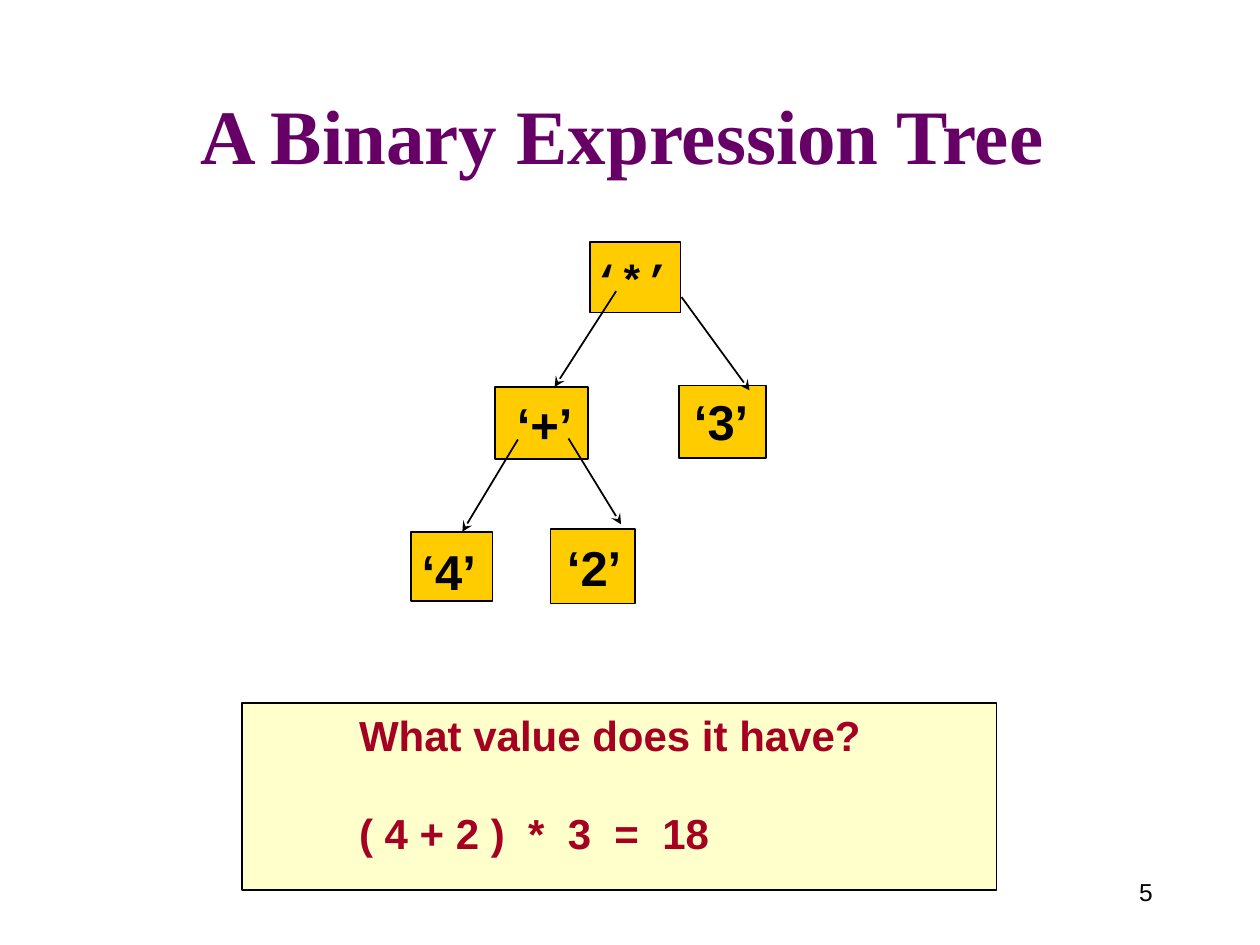
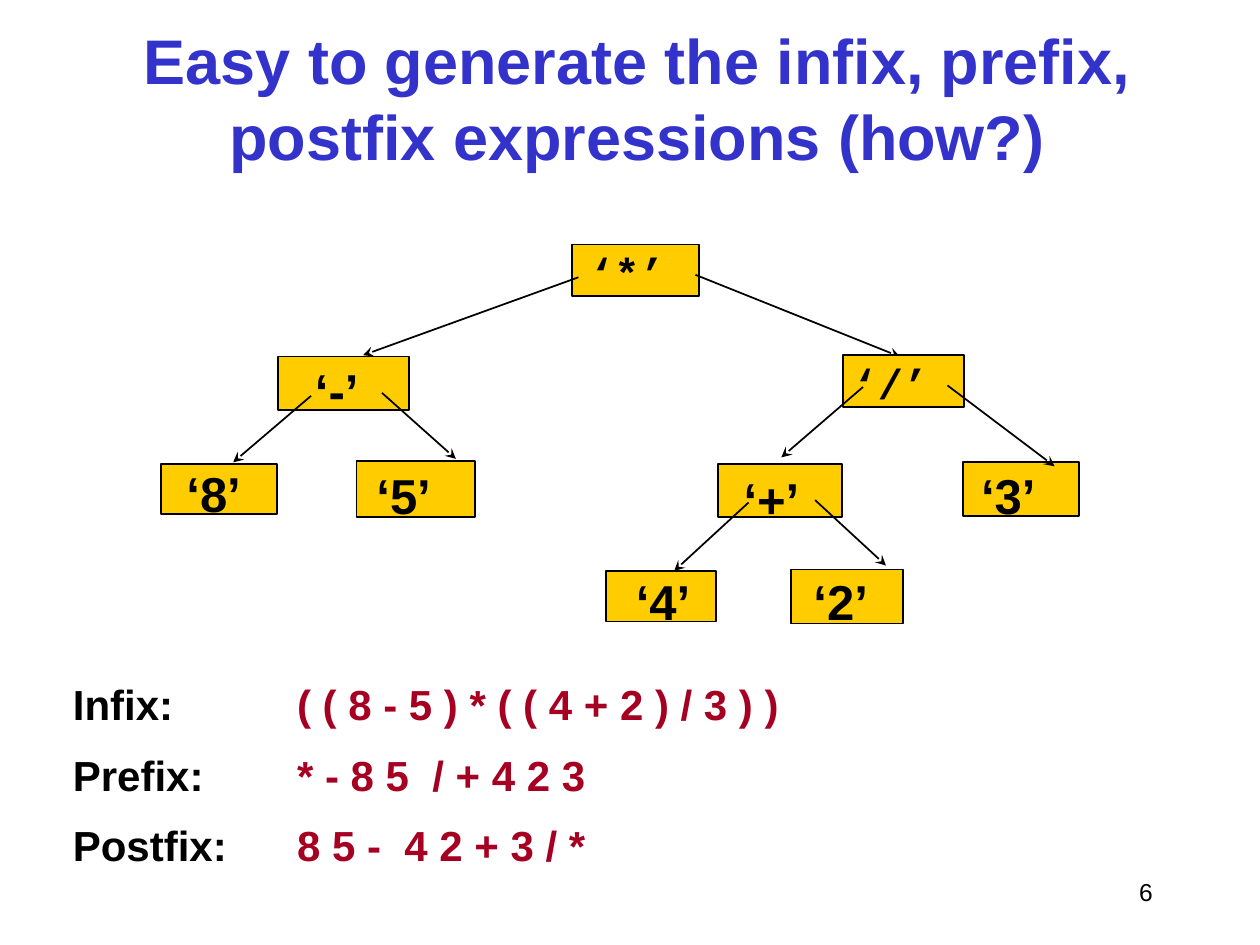
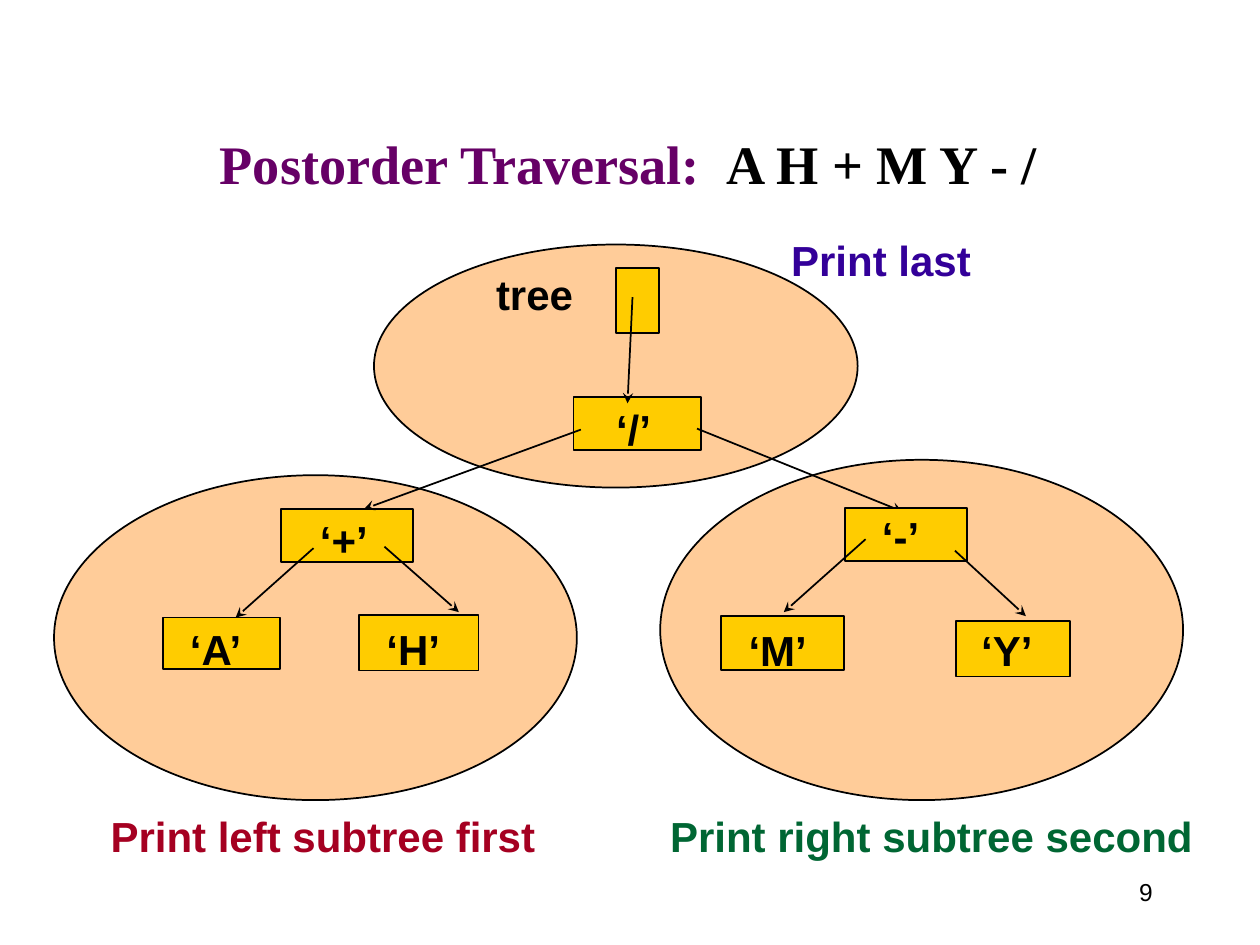
from dataclasses import dataclass

from lxml.etree import SubElement
from pptx import Presentation
from pptx.dml.color import RGBColor
from pptx.enum.shapes import MSO_CONNECTOR, MSO_SHAPE
from pptx.enum.text import MSO_ANCHOR, MSO_AUTO_SIZE, PP_ALIGN
from pptx.oxml.ns import qn
from pptx.util import Cm, Pt


@dataclass(frozen=True)
class Theme:
    black: str = "000000"
    purple: str = "660066"
    blue: str = "3333CC"
    indigo: str = "330099"
    red: str = "A50021"
    green: str = "006633"
    node: str = "FFCC00"
    note: str = "FFFFCC"
    region: str = "FFCC99"
    sans: str = "Arial"
    serif: str = "Times New Roman"
    mono: str = "Courier New"
    body: int = 24
    number: int = 14


T = Theme()

# Label styles: font, size, label width in cm
MONO = (T.mono, T.body, 2.05)
LARGE = (T.sans, 28, 1.7)
SMALL = (T.sans, T.body, 1.7)
NAME = (T.sans, T.body, 2.1)

# Content, all lengths in cm.
# Title: box, font, size, runs of (text, colour)
# Tree: nodes of (label, box, label left and top, style), edges from parent to child
EXPRESSION = {
    "number": 5,
    "title": ((1.65, 0.58, 21.79, 3.18), T.serif, 44,
              [("A Binary Expression Tree", T.purple)]),
    "trees": [(
        [("‘*’", (11.89, 4.88, 1.83, 1.42), (11.73, 4.98), MONO),
         ("‘+’", (9.98, 7.8, 1.88, 1.45), (10.17, 7.82), LARGE),
         ("‘3’", (13.69, 7.77, 1.75, 1.47), (13.74, 7.77), LARGE),
         ("‘4’", (8.28, 10.72, 1.65, 1.4), (8.25, 10.8), LARGE),
         ("‘2’", (11.1, 10.67, 1.7, 1.5), (11.18, 10.72), LARGE)],
        [(13.74, 5.99, 15.11, 7.87), (11.46, 8.84, 12.52, 10.57),
         (10.44, 8.86, 9.32, 10.72), (12.42, 5.87, 11.18, 7.8)],
    )],
}
NOTE_BOX = (4.88, 14.17, 15.21, 3.78)
NOTE_LINES = ["What value does it have?", "( 4 + 2 )  *  3  =  18"]

NOTATIONS = {
    "number": 6,
    "title": ((1.02, 0.43, 23.65, 3.18), T.sans, 36,
              [("Easy to generate the infix, prefix, postfix expressions (how?)", T.blue)]),
    "trees": [(
        [("‘*’", (11.53, 4.93, 2.57, 1.04), (11.63, 4.85), MONO),
         ("‘-’", (5.61, 7.19, 2.64, 1.07), (6.1, 7.14), LARGE),
         ("‘8’", (3.25, 9.35, 2.34, 1.02), (3.51, 9.22), LARGE),
         ("‘5’", (7.19, 9.3, 2.39, 1.12), (7.34, 9.25), LARGE)],
        [(14.02, 5.54, 18.14, 7.19), (7.7, 7.92, 9.19, 9.25),
         (6.27, 7.98, 4.7, 9.32), (11.66, 5.59, 7.32, 7.16)],
    ), (
        [("‘/’", (16.99, 7.16, 2.44, 1.04), (16.94, 7.09), MONO),
         ("‘+’", (14.48, 9.35, 2.49, 1.07), (14.74, 9.35), LARGE),
         ("‘3’", (19.41, 9.32, 2.34, 1.09), (19.53, 9.25), LARGE),
         ("‘4’", (12.22, 11.51, 2.21, 1.02), (12.57, 11.4), LARGE),
         ("‘2’", (15.95, 11.48, 2.26, 1.09), (16.15, 11.4), LARGE)],
        [(19.1, 7.77, 21.26, 9.4), (16.43, 10.08, 17.86, 11.4),
         (15.09, 10.13, 13.59, 11.51), (17.4, 7.8, 15.75, 9.22)],
    )],
}
NOTATION_BOX = (1.22, 13.56, 15.4, 4.17)
NOTATION_TAB = 4.52
NOTATION_LINES = [
    ("Infix:", "( ( 8 - 5 ) * ( ( 4 + 2 ) / 3 ) )"),
    ("Prefix:", "* - 8 5  / + 4 2 3"),
    ("Postfix:", "8 5 -  4 2 + 3 / *"),
]

POSTORDER = {
    "number": 9,
    "title": ((0.84, 0.89, 23.65, 3.18), T.serif, 31,
              [("Postorder Traversal:  ", T.purple), ("A H + M Y - /", T.black)]),
    "regions": [(13.31, 9.27, 10.54, 6.86), (7.54, 4.93, 9.75, 4.9),
                (1.09, 9.58, 10.54, 6.55)],
    "trees": [(
        [("‘/’", (11.56, 8, 2.57, 1.07), (12.17, 8), SMALL),
         ("‘+’", (5.66, 10.26, 2.67, 1.07), (6.2, 10.24), SMALL),
         ("‘A’", (3.28, 12.45, 2.36, 1.04), (3.58, 12.45), SMALL),
         ("‘H’", (7.24, 12.4, 2.41, 1.12), (7.54, 12.45), SMALL)],
        [(14.05, 8.64, 18.19, 10.31), (7.75, 11.02, 9.25, 12.34),
         (6.32, 11.05, 4.75, 12.45), (11.71, 8.66, 7.34, 10.26)],
    ), (
        [("‘-’", (17.04, 10.24, 2.46, 1.07), (17.53, 10.16), SMALL),
         ("‘M’", (14.53, 12.42, 2.49, 1.09), (14.84, 12.47), SMALL),
         ("‘Y’", (19.28, 12.52, 2.29, 1.12), (19.53, 12.47), SMALL),
         ("tree", (12.42, 5.41, 0.86, 1.3), (9.75, 5.28), NAME)],
        [(19.25, 11.1, 20.68, 12.42), (17.45, 10.87, 15.8, 12.34),
         (12.75, 5.99, 12.65, 8.13)],
    )],
}
CAPTIONS = [
    ("Print left subtree first", (1.98, 16.21, 9.3, 1.27), T.red),
    ("Print right subtree second", (13.26, 16.21, 11.3, 1.27), T.green),
    ("Print last", (15.7, 4.6, 4.4, 1.27), T.indigo),
]
NUMBER_BOX = (21.79, 17.35, 1.7, 1.27)


# Drawing helpers
def lengths(values):
    return [Cm(v) for v in values]


def style(font, name, size, color=T.black, bold=True):
    font.name, font.size, font.bold = name, Pt(size), bold
    font.color.rgb = RGBColor.from_string(color)


def add_runs(p, runs):
    for text, color in runs:
        r = p.add_run()
        r.text = text
        r.font.color.rgb = RGBColor.from_string(color)


def add_text(s, box, text="", name=T.sans, size=T.body, color=T.black, bold=True):
    tf = s.shapes.add_textbox(*lengths(box)).text_frame
    tf.word_wrap = True
    p = tf.paragraphs[0]
    p.text = text
    style(p.font, name, size, color, bold)
    return tf


def add_box(s, kind, box, fill):
    sp = s.shapes.add_shape(kind, *lengths(box))
    sp.shadow.inherit = False
    sp.fill.solid()
    sp.fill.fore_color.rgb = RGBColor.from_string(fill)
    sp.line.color.rgb = RGBColor.from_string(T.black)
    sp.line.width = Pt(1)
    return sp


def add_arrow(s, ends):
    cn = s.shapes.add_connector(MSO_CONNECTOR.STRAIGHT, *lengths(ends))
    cn.line.color.rgb = RGBColor.from_string(T.black)
    cn.line.width = Pt(1)
    SubElement(cn.line._get_or_add_ln(), qn("a:tailEnd"), type="stealth")
    SubElement(cn._element.spPr, qn("a:effectLst"))


def add_tree(s, nodes, edges):
    for _, box, _, _ in nodes:
        add_box(s, MSO_SHAPE.RECTANGLE, box, T.node)
    for ends in edges:
        add_arrow(s, ends)
    for label, _, place, (name, size, width) in nodes:
        add_text(s, (*place, width, size * 0.052), label, name, size)


def add_slide(prs, content):
    s = prs.slides.add_slide(prs.slide_layouts[5])
    # Title
    box, name, size, runs = content["title"]
    title = s.shapes.title
    title.left, title.top, title.width, title.height = lengths(box)
    tf = title.text_frame
    tf.auto_size, tf.vertical_anchor = MSO_AUTO_SIZE.NONE, MSO_ANCHOR.BOTTOM
    p = tf.paragraphs[0]
    p.alignment = PP_ALIGN.CENTER
    style(p.font, name, size)
    add_runs(p, runs)
    # Slide number
    tf = add_text(s, NUMBER_BOX, str(content["number"]), size=T.number, bold=False)
    tf.vertical_anchor = MSO_ANCHOR.MIDDLE
    tf.paragraphs[0].alignment = PP_ALIGN.RIGHT
    # Regions and trees
    for region in content.get("regions", []):
        add_box(s, MSO_SHAPE.OVAL, region, T.region)
    for nodes, edges in content["trees"]:
        add_tree(s, nodes, edges)
    return s


def add_note(s):
    tf = add_box(s, MSO_SHAPE.RECTANGLE, NOTE_BOX, T.note).text_frame
    tf.vertical_anchor = MSO_ANCHOR.TOP
    tf.margin_left = Cm(2.36)
    tf.text = "\n".join(NOTE_LINES)
    for p in tf.paragraphs:
        p.alignment = PP_ALIGN.LEFT
        style(p.font, T.sans, T.body, T.red)
    tf.paragraphs[1].space_before = Pt(27.6)


def add_notations(s):
    tf = add_text(s, NOTATION_BOX)
    for i, (label, expression) in enumerate(NOTATION_LINES):
        p = tf.add_paragraph() if i else tf.paragraphs[0]
        p.space_before = Pt(11.5 if i else 0)
        tabs = SubElement(p._p.get_or_add_pPr(), qn("a:tabLst"))
        SubElement(tabs, qn("a:tab"), pos=str(Cm(NOTATION_TAB)), algn="l")
        style(p.font, T.sans, T.body)
        add_runs(p, [(label + "\t", T.black), (expression, T.red)])


def main():
    prs = Presentation()
    prs.slide_width, prs.slide_height = Cm(25.4), Cm(19.05)
    add_note(add_slide(prs, EXPRESSION))
    add_notations(add_slide(prs, NOTATIONS))
    s = add_slide(prs, POSTORDER)
    for text, box, color in CAPTIONS:
        add_text(s, box, text, color=color)
    prs.save("out.pptx")


if __name__ == "__main__":
    main()
